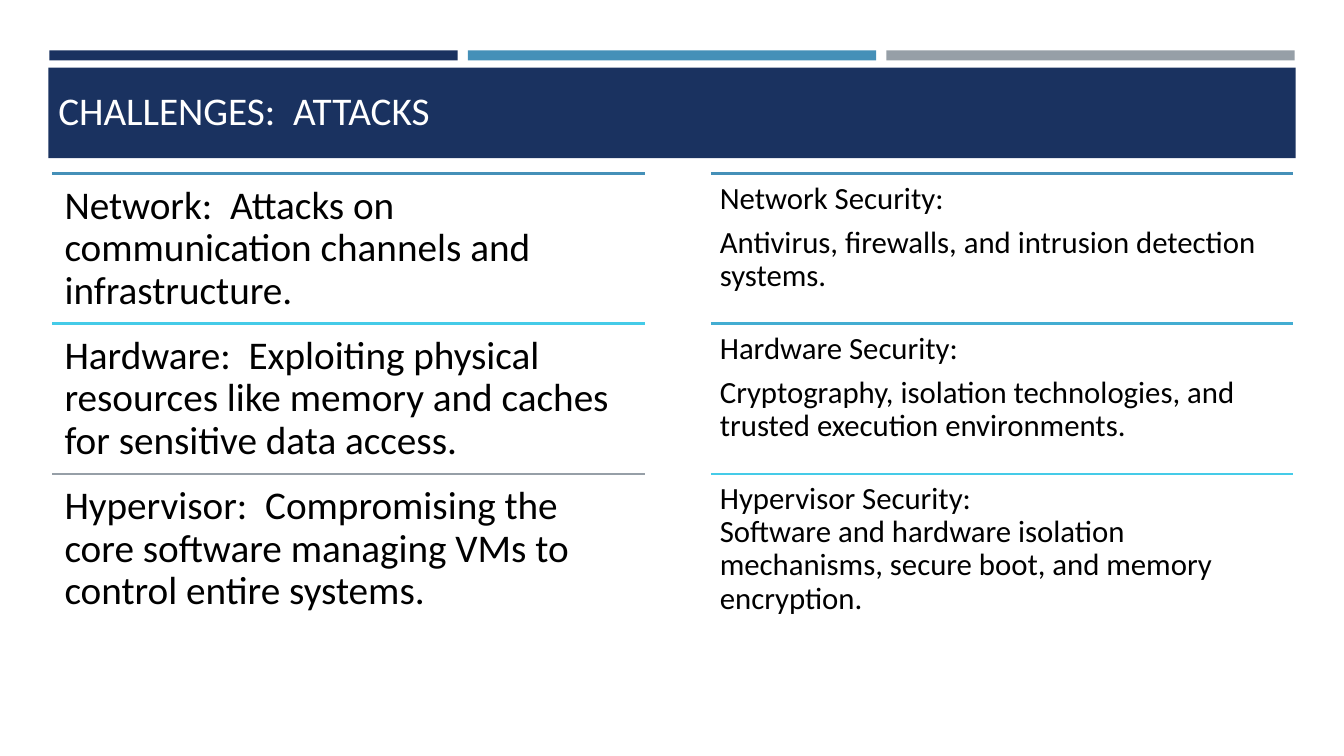
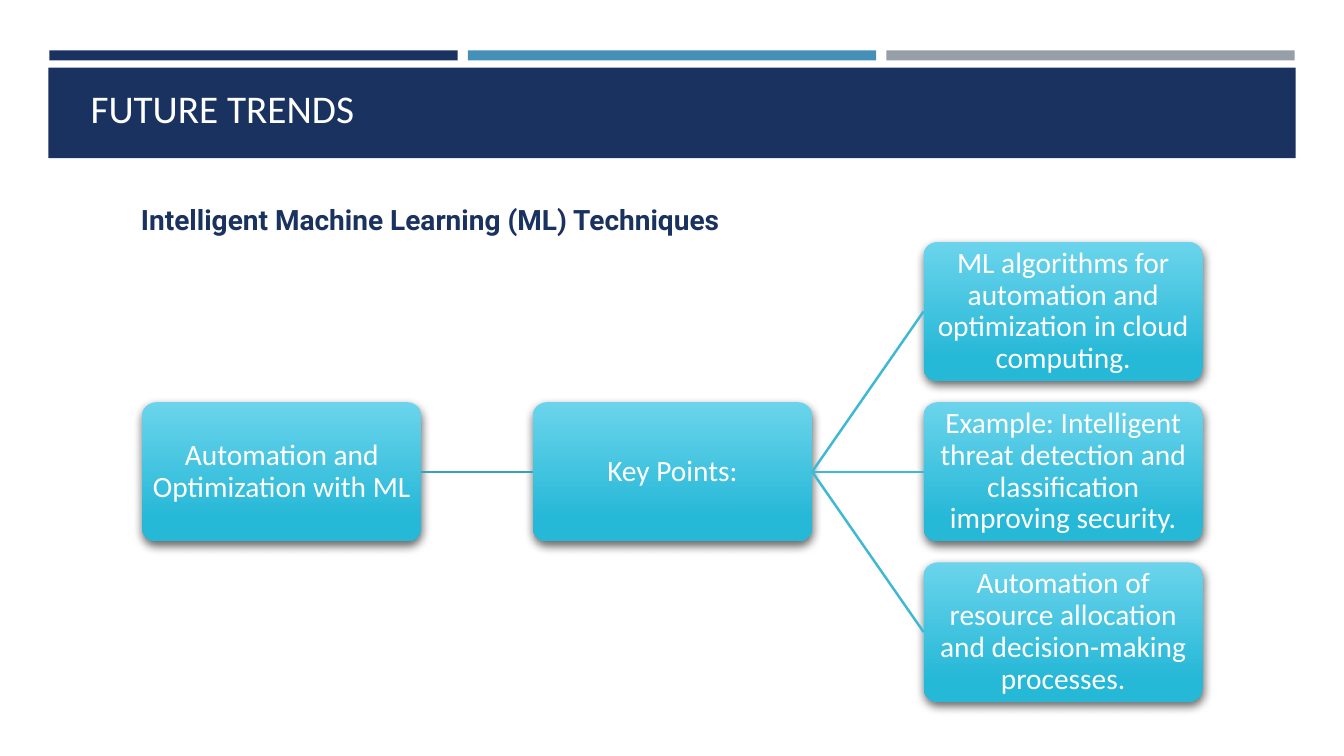
import pptx
import pptx.util
import pptx.dml.color
import pptx.enum.shapes
import pptx.enum.text
import pptx.oxml.ns
import lxml.etree

Inch = pptx.util.Inches
Pt = pptx.util.Pt
Shape = pptx.enum.shapes.MSO_SHAPE
Line = pptx.enum.shapes.MSO_CONNECTOR
Align = pptx.enum.text.PP_ALIGN
Anchor = pptx.enum.text.MSO_ANCHOR
qn = pptx.oxml.ns.qn

WIDE, HIGH = 13.33, 7.5
HUES = {
    "navy": "1A3260", "blue": "4590B8", "gray": "969FA7",
    "cyan": "45CBE8", "sky": "43ADD2", "teal": "37A3BA", "aqua": "3FB8D3",
    "light": "6BD4EC", "deep": "26B8D7", "white": "FFFFFF", "black": "000000",
}
BARS = ["navy", "blue", "gray"]
BAR_W, BAR_STEP = 4.05, 4.15
ROW_TOP, ROW_STEP = 1.72, 1.49
CARD_W, CARD_H = 2.77, 1.38
COL_STEP, CARD_STEP = 3.875, 1.59

THREATS = [
    ("blue", "Network:  Attacks on communication channels and infrastructure."),
    ("cyan", "Hardware:  Exploiting physical resources like memory and caches "
             "for sensitive data access."),
    ("gray", "Hypervisor:  Compromising the core software managing VMs "
             "to control entire systems."),
]
GUARDS = [
    ("blue", "Network Security:\n"
             "Antivirus, firewalls, and intrusion detection systems."),
    ("sky", "Hardware Security:\n"
            "Cryptography, isolation technologies, and trusted execution environments."),
    ("cyan", "Hypervisor Security:\v"
             "Software and hardware isolation mechanisms, secure boot, "
             "and memory encryption."),
]
POINTS = [
    "ML algorithms for automation and optimization in cloud computing.",
    "Example: Intelligent threat detection and classification improving security.",
    "Automation of resource allocation and decision-making processes.",
]


def hue(name):
    return pptx.dml.color.RGBColor.from_string(HUES[name])


def write(frame, text, size, color, font="Calibri", bold=False,
          align=Align.LEFT, anchor=Anchor.TOP, pad=None, lead=None, after=0):
    frame.word_wrap = True
    frame.vertical_anchor = anchor
    if pad is not None:
        frame.margin_left = frame.margin_right = Inch(pad)
        frame.margin_top = frame.margin_bottom = Inch(pad)
    frame.text = text
    for para in frame.paragraphs:
        para.alignment = align
        para.space_after = Pt(after)
        if lead:
            para.line_spacing = lead
        for run in para.runs:
            run.font.name = font
            run.font.size = Pt(size)
            run.font.bold = bold
            run.font.color.rgb = hue(color)


def label(slide, x, y, w, h, text, size, color, **style):
    box = slide.shapes.add_textbox(Inch(x), Inch(y), Inch(w), Inch(h))
    write(box.text_frame, text, size, color, **style)


def band(slide, x, y, w, h, color):
    rect = slide.shapes.add_shape(Shape.RECTANGLE, Inch(x), Inch(y), Inch(w), Inch(h))
    rect.fill.solid()
    rect.fill.fore_color.rgb = hue(color)
    rect.line.fill.background()
    rect.shadow.inherit = False


def rule(slide, color, x1=0, y1=0, x2=0, y2=0):
    link = slide.shapes.add_connector(
        Line.STRAIGHT, Inch(x1), Inch(y1), Inch(x2), Inch(y2))
    link.line.color.rgb = hue(color)
    link.line.width = Pt(1.75)
    lxml.etree.SubElement(link._element.spPr, qn("a:effectLst"))
    return link


def join(slide, left, right, color):
    link = rule(slide, color)
    link.begin_connect(left, 3)
    link.end_connect(right, 1)


def shade(shape):
    shape.shadow.inherit = False
    glow = shape._element.spPr.find(qn("a:effectLst"))
    drop = lxml.etree.SubElement(
        glow, qn("a:outerShdw"), blurRad=str(Pt(7)), dist=str(Pt(3)),
        dir=str(84 * 60000), rotWithShape="0")
    tint = lxml.etree.SubElement(drop, qn("a:srgbClr"), val=HUES["black"])
    lxml.etree.SubElement(tint, qn("a:alpha"), val="60000")


def card(slide, col, row, text):
    box = slide.shapes.add_shape(
        Shape.ROUNDED_RECTANGLE, Inch(1.41 + col * COL_STEP),
        Inch(2.4 + row * CARD_STEP), Inch(CARD_W), Inch(CARD_H))
    box.adjustments[0] = 0.1
    box.fill.gradient()
    box.fill.gradient_angle = 270
    for stop, (place, color) in zip(box.fill.gradient_stops, [(0, "light"), (0.84, "deep")]):
        stop.position = place
        stop.color.rgb = hue(color)
    box.line.fill.background()
    shade(box)
    write(box.text_frame, text, 21, "white", align=Align.CENTER,
          anchor=Anchor.MIDDLE, pad=0.01, lead=0.9)
    return box


def page(deck, title, x, y, h):
    slide = deck.slides.add_slide(deck.slide_layouts[6])
    for i, color in enumerate(BARS):
        band(slide, 0.49 + i * BAR_STEP, 0.5, BAR_W, 0.1, color)
    band(slide, 0.48, 0.67, 12.37, 0.9, "navy")
    label(slide, x, y, 11.5, h, title, 28, "white", anchor=Anchor.BOTTOM)
    return slide


def stack(slide, x, w, rows, size, pad):
    for i, (color, text) in enumerate(rows):
        y = ROW_TOP + i * ROW_STEP
        rule(slide, color, x, y, x + w, y)
        label(slide, x, y, w, ROW_STEP, text, size, "black",
              pad=pad, lead=0.9, after=8)


def attacks(deck):
    slide = page(deck, "CHALLENGES:  ATTACKS", 0.48, 0.66, 0.71)
    stack(slide, 0.52, 5.88, THREATS, 28, 0.12)
    stack(slide, 7.05, 5.77, GUARDS, 22, 0.09)


def trends(deck):
    slide = page(deck, "FUTURE TRENDS", 0.8, 0.68, 0.67)
    root = card(slide, 0, 1, "Automation and Optimization with ML")
    key = card(slide, 1, 1, "Key Points:")
    join(slide, root, key, "teal")
    for row, text in enumerate(POINTS):
        join(slide, key, card(slide, 2, row, text), "aqua")
    label(slide, 1.3, 1.96, 7.71, 0.44, "Intelligent Machine Learning (ML) Techniques",
          20, "navy", font="Roboto", bold=True)


def main():
    deck = pptx.Presentation()
    deck.slide_width, deck.slide_height = Inch(WIDE), Inch(HIGH)
    attacks(deck)
    trends(deck)
    deck.save("out.pptx")


if __name__ == "__main__":
    main()
